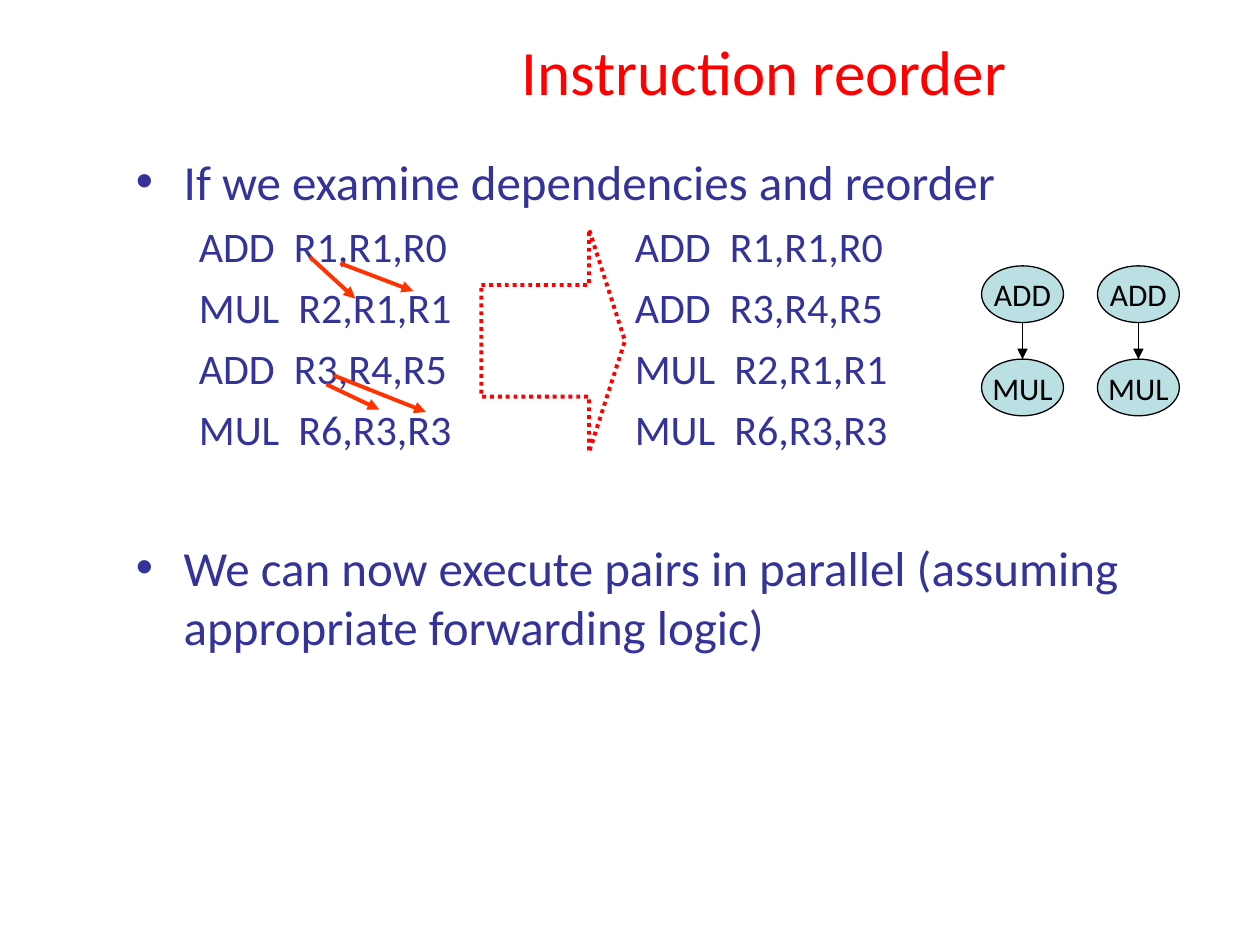
from dataclasses import dataclass
from typing import Any, NamedTuple

import pptx
import pptx.dml.color
import pptx.enum.dml
import pptx.enum.shapes
import pptx.enum.text
import pptx.oxml
import pptx.util
from pptx.util import Inches

Color = pptx.dml.color.RGBColor


@dataclass(frozen=True)
class Theme:
    font: str = "Calibri"
    title: Color = Color(0xFF, 0x00, 0x00)
    body: Color = Color(0x33, 0x33, 0x99)
    dependency: Color = Color(0xFF, 0x33, 0x00)
    node: Color = Color(0xBB, 0xE0, 0xE3)
    ink: Color = Color(0x00, 0x00, 0x00)
    title_size: int = 36
    bullet_size: int = 28
    code_size: int = 24
    node_size: int = 18
    thick: float = 2.25
    thin: float = 0.75


class Segment(NamedTuple):
    x1: float
    y1: float
    x2: float
    y2: float


THEME = Theme()
ORIGINAL_ORDER = ["ADD  R1,R1,R0", "MUL  R2,R1,R1", "ADD  R3,R4,R5", "MUL  R6,R3,R3"]
REORDERED = [ORIGINAL_ORDER[i] for i in (0, 2, 1, 3)]
DEPENDENCIES = [
    Segment(2.46, 2.04, 2.82, 2.37),
    Segment(2.70, 2.09, 3.28, 2.31),
    Segment(2.59, 3.05, 3.01, 3.25),
    Segment(2.65, 2.98, 3.38, 3.27),
]
PAIR_LEFTS = [7.79, 8.71]
NODE_TOPS = {"ADD": 2.11, "MUL": 2.85}
NODE_W, NODE_H = 0.65, 0.45
CODE_INDENT = 0.5


def append_xml(parent: Any, tag: str, attrs: str = "", inner: str = "") -> None:
    ns = pptx.oxml.ns.nsdecls("a")
    parent.append(pptx.oxml.parse_xml(f"<a:{tag} {ns} {attrs}>{inner}</a:{tag}>"))


def add_run(p: Any, text: str, size: int, color: Color) -> None:
    r = p.add_run()
    r.text = text
    r.font.name = THEME.font
    r.font.size = pptx.util.Pt(size)
    r.font.color.rgb = color


def add_text_frame(shapes: Any, x: float, y: float, w: float, h: float) -> Any:
    tf = shapes.add_textbox(Inches(x), Inches(y), Inches(w), Inches(h)).text_frame
    tf.word_wrap = True
    return tf


def add_title(shapes: Any) -> None:
    tf = add_text_frame(shapes, 2.64, 0.13, 6.85, 0.86)
    tf.vertical_anchor = pptx.enum.text.MSO_ANCHOR.MIDDLE
    p = tf.paragraphs[0]
    p.alignment = pptx.enum.text.PP_ALIGN.CENTER
    add_run(p, "Instruction reorder", THEME.title_size, THEME.title)


def add_bullet(p: Any, text: str, space_before: float) -> None:
    p.space_before = pptx.util.Pt(space_before)
    pPr = p._p.get_or_add_pPr()
    pPr.set("marL", str(Inches(0.38)))
    pPr.set("indent", str(Inches(-0.38)))
    append_xml(pPr, "buClr", inner=f'<a:srgbClr val="{THEME.body}"/>')
    append_xml(pPr, "buFont", 'typeface="Arial"')
    append_xml(pPr, "buChar", 'char="•"')
    add_run(p, text, THEME.bullet_size, THEME.body)


def add_code_line(p: Any, text: str, indent: float = 0, space_before: float = 6) -> None:
    p.space_before = pptx.util.Pt(space_before)
    pPr = p._p.get_or_add_pPr()
    pPr.set("marL", str(Inches(indent)))
    pPr.set("indent", "0")
    append_xml(pPr, "buNone")
    add_run(p, text, THEME.code_size, THEME.body)


def add_body(shapes: Any) -> None:
    tf = add_text_frame(shapes, 0.98, 1.15, 8.52, 5.84)
    add_bullet(tf.paragraphs[0], "If we examine dependencies and reorder", 7)
    for text in ORIGINAL_ORDER:
        add_code_line(tf.add_paragraph(), text, CODE_INDENT)
    add_bullet(
        tf.add_paragraph(),
        "We can now execute pairs in parallel (assuming appropriate forwarding logic)",
        48,
    )


def add_reordered_code(shapes: Any) -> None:
    tf = add_text_frame(shapes, 4.94, 1.7, 2.6, 2.05)
    first, *rest = REORDERED
    add_code_line(tf.paragraphs[0], first, space_before=0)
    for text in rest:
        add_code_line(tf.add_paragraph(), text)


def add_arrow(shapes: Any, seg: Segment, color: Color, width: float) -> None:
    s = shapes.add_connector(
        pptx.enum.shapes.MSO_CONNECTOR.STRAIGHT, *(Inches(v) for v in seg)
    )
    s.line.color.rgb = color
    s.line.width = pptx.util.Pt(width)
    append_xml(s.line._get_or_add_ln(), "tailEnd", 'type="triangle"')
    append_xml(s._element.spPr, "effectLst")


def add_reorder_arrow(shapes: Any) -> None:
    s = shapes.add_shape(
        pptx.enum.shapes.MSO_SHAPE.RIGHT_ARROW,
        Inches(3.82), Inches(1.82), Inches(1.14), Inches(1.77),
    )
    s.adjustments[0], s.adjustments[1] = 0.5, 0.25
    s.shadow.inherit = False
    s.fill.background()
    s.line.color.rgb = THEME.title
    s.line.width = pptx.util.Pt(THEME.thick)
    s.line.dash_style = pptx.enum.dml.MSO_LINE.ROUND_DOT


def add_node(shapes: Any, text: str, x: float, y: float) -> None:
    s = shapes.add_shape(
        pptx.enum.shapes.MSO_SHAPE.OVAL,
        Inches(x), Inches(y), Inches(NODE_W), Inches(NODE_H),
    )
    s.shadow.inherit = False
    s.fill.solid()
    s.fill.fore_color.rgb = THEME.node
    s.line.color.rgb = THEME.ink
    s.line.width = pptx.util.Pt(THEME.thin)
    tf = s.text_frame
    tf.word_wrap = False
    tf.vertical_anchor = pptx.enum.text.MSO_ANCHOR.MIDDLE
    p = tf.paragraphs[0]
    p.alignment = pptx.enum.text.PP_ALIGN.CENTER
    add_run(p, text, THEME.node_size, THEME.ink)


def add_parallel_pairs(shapes: Any) -> None:
    group = shapes.add_group_shape().shapes
    for left in PAIR_LEFTS:
        for text, top in NODE_TOPS.items():
            add_node(group, text, left, top)
        x = left + NODE_W / 2
        seg = Segment(x, NODE_TOPS["ADD"] + NODE_H, x, NODE_TOPS["MUL"])
        add_arrow(group, seg, THEME.ink, THEME.thin)


def main() -> None:
    prs = pptx.Presentation()
    prs.slide_width, prs.slide_height = Inches(10), Inches(7.5)
    shapes = prs.slides.add_slide(prs.slide_layouts[6]).shapes
    add_title(shapes)
    add_body(shapes)
    add_reordered_code(shapes)
    for seg in DEPENDENCIES:
        add_arrow(shapes, seg, THEME.dependency, THEME.thick)
    add_reorder_arrow(shapes)
    add_parallel_pairs(shapes)
    prs.save("out.pptx")


if __name__ == "__main__":
    main()
